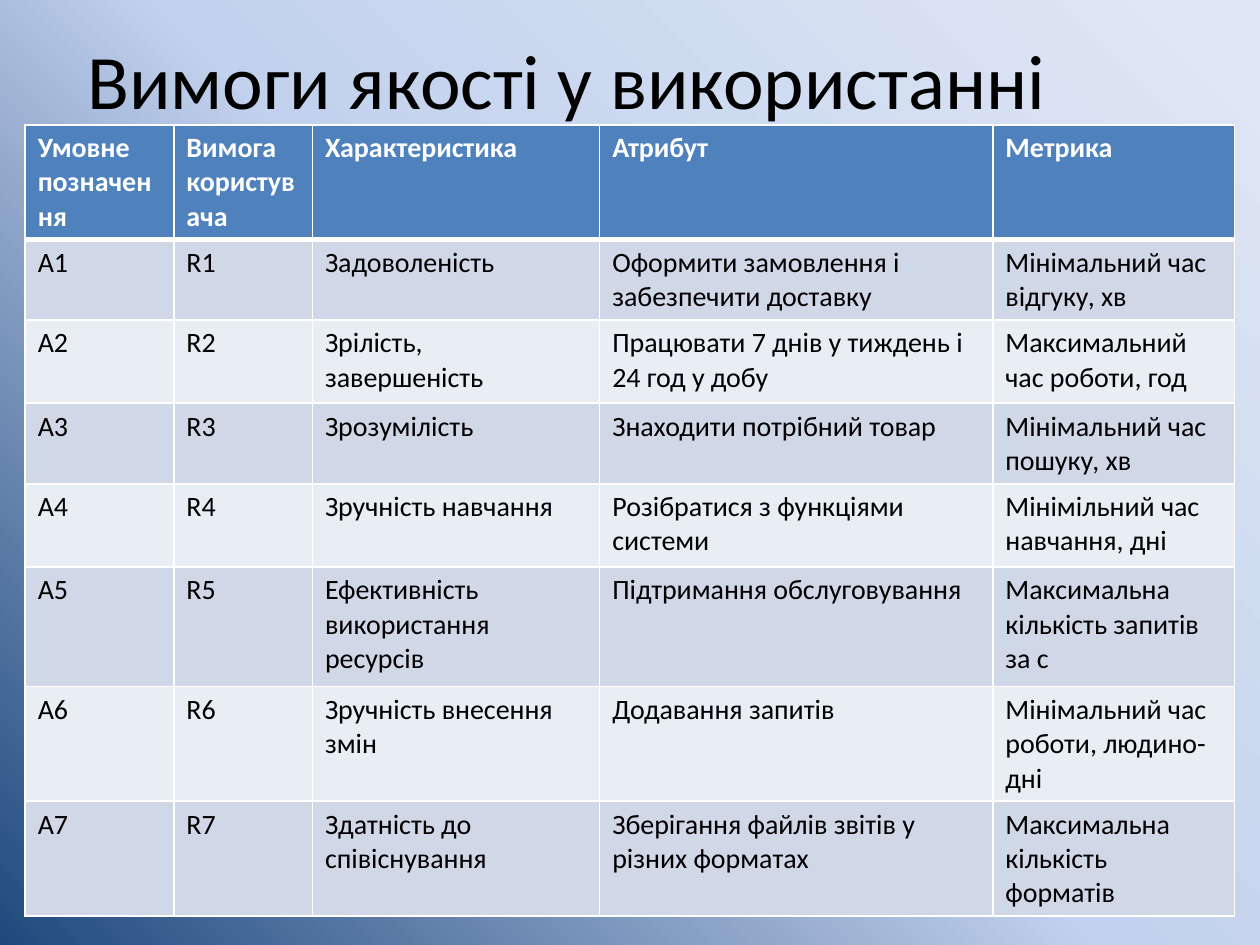
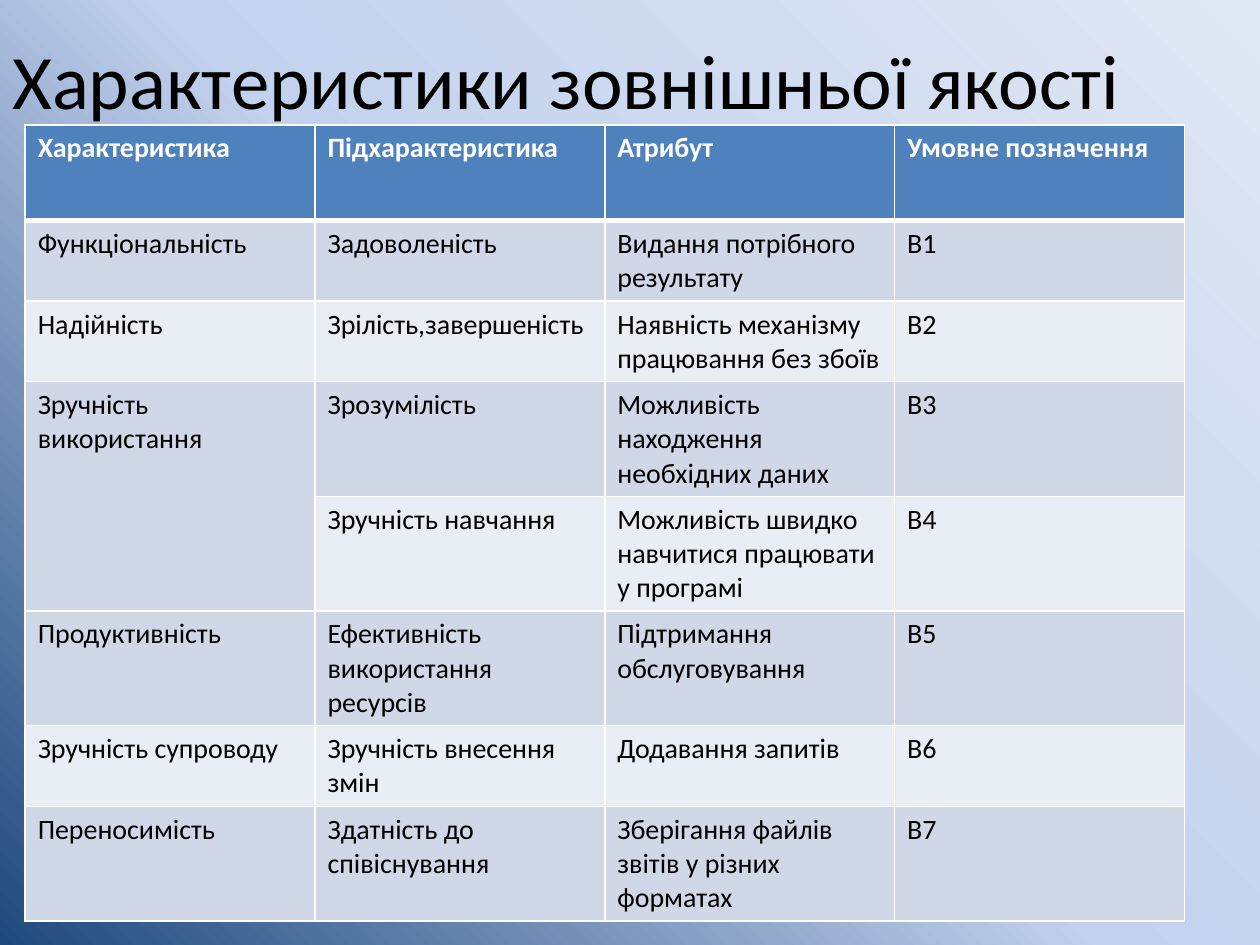
import pptx
import pptx.dml.color
import pptx.enum.text
import pptx.oxml
import pptx.oxml.ns
import pptx.util
from pptx.util import Inches

COLORS = {
    "text": "000000", "white": "FFFFFF", "header": "4F81BD",
    "band_dark": "D0D8E8", "band_light": "E9EDF4",
    "bg_dark": "1F497D", "bg_mid": "C2D1ED", "bg_light": "E1E8F5",
}
NS = pptx.oxml.ns.nsdecls("a", "p")


class Deck:
    """Shared style and the slide being built."""
    font = "Calibri"
    title_size = 44
    cell_size = 16

    def __init__(self):
        self.prs = pptx.Presentation()
        self.prs.slide_width = Inches(10)
        self.prs.slide_height = Inches(7.5)
        self.s = None

    def slide(self, title):
        self.s = self.prs.slides.add_slide(self.prs.slide_layouts[6])
        self.background()
        self.title(title)

    def background(self):
        # Circular gradient spreading from the bottom left corner
        stops = "".join(
            f'<a:gs pos="{pos}"><a:srgbClr val="{COLORS[name]}"/></a:gs>'
            for pos, name in ((0, "bg_dark"), (50000, "bg_mid"), (100000, "bg_light")))
        bg = pptx.oxml.parse_xml(
            f'<p:bg {NS}><p:bgPr><a:gradFill rotWithShape="1"><a:gsLst>{stops}</a:gsLst>'
            '<a:path path="circle"><a:fillToRect t="100000" r="100000"/></a:path>'
            '</a:gradFill><a:effectLst/></p:bgPr></p:bg>')
        self.s.element.cSld.insert(0, bg)

    def run(self, p, text, size, color, bold=False):
        r = p.add_run()
        r.text = text
        r.font.name = self.font
        r.font.size = pptx.util.Pt(size)
        r.font.bold = bold
        r.font.color.rgb = pptx.dml.color.RGBColor.from_string(COLORS[color])

    def title(self, text):
        sp = self.s.shapes.add_textbox(0, 0, Inches(9), Inches(1.25))
        tf = sp.text_frame
        tf.word_wrap = True
        tf.vertical_anchor = pptx.enum.text.MSO_ANCHOR.MIDDLE
        p = tf.paragraphs[0]
        p.alignment = pptx.enum.text.PP_ALIGN.CENTER
        self.run(p, text, self.title_size, "text")

    def borders(self, cell, top, bottom):
        tcPr = cell._tc.get_or_add_tcPr()
        sides = (("L", 1), ("R", 1), ("T", top), ("B", bottom))
        for i, (side, width) in enumerate(sides):
            tcPr.insert(i, pptx.oxml.parse_xml(
                f'<a:ln{side} {NS} w="{pptx.util.Pt(width)}"><a:solidFill>'
                f'<a:srgbClr val="{COLORS["white"]}"/></a:solidFill></a:ln{side}>'))

    def table(self, widths, heights, rows):
        """Fill a banded table; None marks a cell merged into the one above."""
        table = self.s.shapes.add_table(
            len(rows), len(widths), Inches(0.2), Inches(0.99),
            Inches(sum(widths)), Inches(sum(heights))).table
        table.horz_banding = False
        for col, width in zip(table.columns, widths):
            col.width = Inches(width)
        for i, (row, height) in enumerate(zip(rows, heights)):
            table.rows[i].height = Inches(height)
            header = i == 0
            fill = "header" if header else "band_dark" if i % 2 else "band_light"
            for j, text in enumerate(row):
                cell = table.cell(i, j)
                cell.fill.solid()
                cell.fill.fore_color.rgb = pptx.dml.color.RGBColor.from_string(COLORS[fill])
                self.borders(cell, 3 if i == 1 else 1, 3 if header else 1)
                if text is None:
                    table.cell(i - 1, j).merge(cell)
                else:
                    self.run(cell.text_frame.paragraphs[0], text, self.cell_size,
                             "white" if header else "text", header)


deck = Deck()

# Slide 1: quality-in-use requirements, numbered А1/R1 to А7/R7
deck.slide("Вимоги якості у використанні")
requirements = [
    ("Задоволеність", "Оформити замовлення і забезпечити доставку",
     "Мінімальний час відгуку, хв"),
    ("Зрілість, завершеність", "Працювати 7 днів у тиждень і 24 год у добу",
     "Максимальний час роботи, год"),
    ("Зрозумілість", "Знаходити потрібний товар", "Мінімальний час пошуку, хв"),
    ("Зручність навчання", "Розібратися з функціями системи",
     "Мінімільний час навчання, дні"),
    ("Ефективність використання ресурсів", "Підтримання обслуговування",
     "Максимальна кількість запитів за с"),
    ("Зручність внесення змін", "Додавання запитів",
     "Мінімальний час роботи, людино-дні"),
    ("Здатність до співіснування", "Зберігання файлів звітів у різних форматах",
     "Максимальна кількість форматів"),
]
deck.table(
    [1.18, 1.1, 2.28, 3.12, 1.92],
    [0.91, 0.64, 0.66, 0.64, 0.66, 0.95, 0.91, 0.91],
    [("Умовне позначення", "Вимога користувача", "Характеристика", "Атрибут", "Метрика")]
    + [(f"А{n}", f"R{n}", *row) for n, row in enumerate(requirements, 1)])

# Slide 2: external quality characteristics, numbered В1 to В7
deck.slide("Характеристики зовнішньої якості")
characteristics = [
    ("Функціональність", "Задоволеність", "Видання потрібного результату"),
    ("Надійність", "Зрілість,завершеність", "Наявність механізму працювання без збоїв"),
    ("Зручність використання", "Зрозумілість", "Можливість находження необхідних даних"),
    (None, "Зручність навчання", "Можливість швидко навчитися працювати у програмі"),
    ("Продуктивність", "Ефективність використання ресурсів",
     "Підтримання обслуговування"),
    ("Зручність супроводу", "Зручність внесення змін", "Додавання запитів"),
    ("Переносимість", "Здатність до співіснування",
     "Зберігання файлів звітів у різних форматах"),
]
deck.table(
    [2.3] * 4,
    [0.76, 0.64, 0.64, 0.91, 0.91, 0.91, 0.64, 0.91],
    [("Характеристика", "Підхарактеристика", "Атрибут", "Умовне позначення")]
    + [(*row, f"В{n}") for n, row in enumerate(characteristics, 1)])

deck.prs.save("out.pptx")
